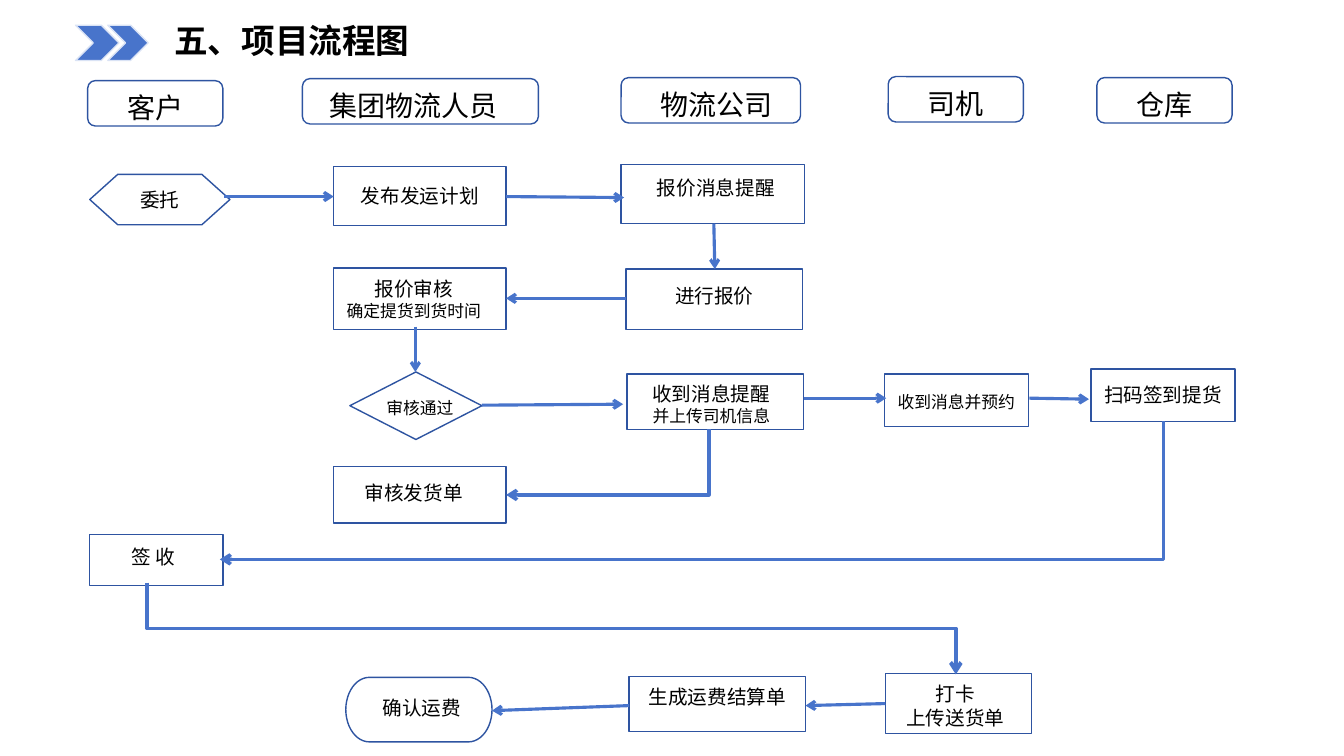
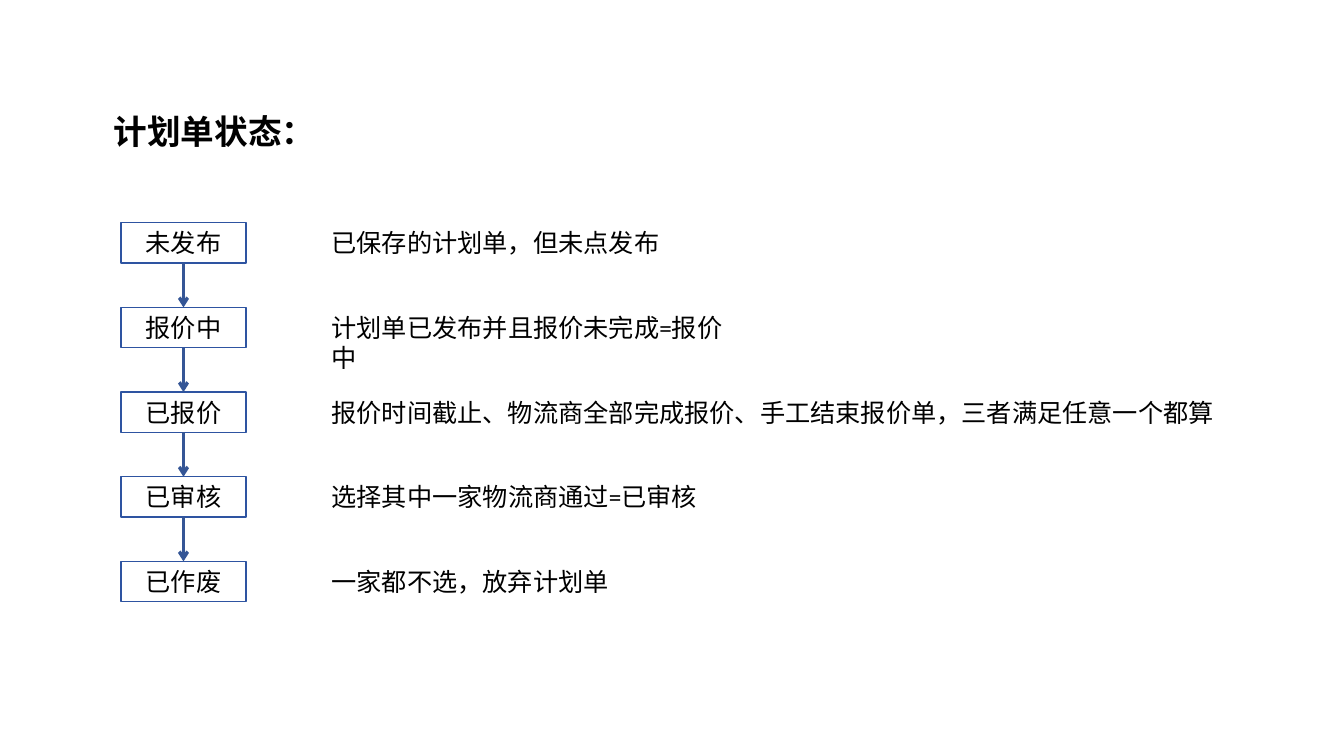
from pptx import Presentation
from pptx.dml.color import RGBColor
from pptx.enum.shapes import MSO_CONNECTOR as LINE, MSO_SHAPE as SHAPE
from pptx.enum.text import MSO_ANCHOR as ANCHOR, PP_ALIGN as ALIGN
from pptx.oxml.ns import qn
from pptx.util import Inches, Pt
from lxml import etree

FONT = "Calibri"
BLACK, OUTLINE, ARROW, CHEVRON_EDGE = "000000", "2E54A1", "4874CB", "DAE3F5"
STATE_ARROW = "355696"

# Swimlane headings: text, (left, top, width), horizontal text nudge
LANES = [
    ("客户", (0.87, 0.8, 1.34), 0),
    ("集团物流人员", (3, 0.78, 2.34), -0.07),
    ("物流公司", (6.16, 0.77, 1.78), 0.06),
    ("司机", (8.81, 0.76, 1.34), 0),
    ("仓库", (10.88, 0.77, 1.34), 0),
]
LANE_H = 0.45

# Flow steps: shape, (left, top, width, height), [(line, size)], text nudge
BOX = SHAPE.RECTANGLE
STEPS = [
    (SHAPE.FLOWCHART_PREPARATION, (0.89, 1.73, 1.39, 0.5), [("委托", 14)], (0, 0)),
    (BOX, (3.31, 1.65, 1.71, 0.59), [("发布发运计划", 14)], (0, 0)),
    (BOX, (6.16, 1.63, 1.82, 0.59), [("报价消息提醒", 14)], (0.03, -0.06)),
    (BOX, (3.31, 2.66, 1.71, 0.61),
     [("报价审核", 14), ("确定提货到货时间", 12)], (-0.06, 0)),
    (BOX, (6.21, 2.67, 1.75, 0.6), [("进行报价", 14)], (0, -0.04)),
    (SHAPE.FLOWCHART_DECISION, (3.47, 3.69, 1.31, 0.67), [("审核通过", 12)], (0.04, 0.02)),
    (BOX, (6.22, 3.71, 1.75, 0.55),
     [("收到消息提醒", 14), ("并上传司机信息", 12)], (-0.04, 0.02)),
    (BOX, (8.77, 3.71, 1.43, 0.52), [("收到消息并预约", 12)], (0, 0.02)),
    (BOX, (10.82, 3.66, 1.43, 0.52), [("扫码签到提货", 14)], (0, 0)),
    (BOX, (3.31, 4.63, 1.71, 0.56), [("审核发货单", 14)], (-0.06, -0.02)),
    (BOX, (0.89, 5.3, 1.32, 0.51), [("签 收", 14)], (-0.03, -0.03)),
    (BOX, (8.78, 6.68, 1.45, 0.6), [("打卡", 14), ("上传送货单", 14)], (-0.03, 0.02)),
    (BOX, (6.24, 6.71, 1.75, 0.55), [("生成运费结算单", 14)], (0, -0.07)),
    (SHAPE.FLOWCHART_TERMINATOR, (3.43, 6.72, 1.45, 0.64), [("确认运费", 14)], (0.03, -0.02)),
]
STRAIGHT_ARROWS = [
    ((2.22, 1.95), (3.31, 1.95)), ((5.02, 1.95), (6.19, 1.96)),
    ((7.08, 2.22), (7.09, 2.67)), ((6.21, 2.96), (5.02, 2.96)),
    ((4.12, 3.24), (4.12, 3.69)), ((4.78, 4.02), (6.18, 4.01)),
    ((7.97, 3.95), (8.79, 3.95)), ((10.21, 3.95), (10.8, 3.96)),
    ((8.78, 6.98), (7.99, 7)), ((6.24, 7), (4.88, 7.05)),
]
# Bent arrows leave downwards: start, end, line width, preset
BENT_ARROWS = [
    ((7.03, 4.26), (5.02, 4.91), 2.5, "bentConnector2"),
    ((11.54, 4.18), (2.18, 5.55), 2.5, "bentConnector2"),
    ((1.46, 5.78), (9.48, 6.69), 2.75, "bentConnector3"),
]

# Plan states: name, meaning, width of the meaning
STATES = [
    ("未发布", "已保存的计划单，但未点发布", 3.6),
    ("报价中", "计划单已发布并且报价未完成=报价中", 4.32),
    ("已报价", "报价时间截止、物流商全部完成报价、手工结束报价单，三者满足任意一个都算", 9.1),
    ("已审核", "选择其中一家物流商通过=已审核", 3.88),
    ("已作废", "一家都不选，放弃计划单", 3.1),
]
STATE_X, STATE_Y, STATE_W, STATE_H, STATE_STEP = 1.2, 2.21, 1.24, 0.4, 0.84
MEANING_X = 3.19


def rgb(color):
    return RGBColor.from_string(color)


def inches(values):
    return [Inches(v) for v in values]


def write(tf, lines, align=ALIGN.LEFT, bold=False):
    for i, (text, size) in enumerate(lines):
        p = tf.paragraphs[0] if i == 0 else tf.add_paragraph()
        p.text = text
        p.alignment = align
        p.font.name, p.font.size, p.font.bold = FONT, Pt(size), bold
        p.font.color.rgb = rgb(BLACK)


def add_text(s, box, text, size, wrap=True, bold=False):
    tf = s.shapes.add_textbox(*inches(box)).text_frame
    tf.word_wrap = wrap
    write(tf, [(text, size)], bold=bold)


def add_title(s, left, top, width, text):
    add_text(s, (left, top, width, 0.5), text, 24, wrap=False, bold=True)


def add_box(s, kind, box, fill=None, line=OUTLINE):
    sp = s.shapes.add_shape(kind, *inches(box))
    sp.shadow.inherit = False
    if fill:
        sp.fill.solid()
        sp.fill.fore_color.rgb = rgb(fill)
    else:
        sp.fill.background()
    sp.line.color.rgb = rgb(line)
    sp.line.width = Pt(1)
    return sp


def add_node(s, kind, box, lines, nudge=(0, 0)):
    """Outlined shape with centred text, shifted by nudge through the margins."""
    tf = add_box(s, kind, box).text_frame
    dx, dy = nudge
    tf.margin_left, tf.margin_right, tf.margin_top, tf.margin_bottom = inches(
        max(0, 2 * v) for v in (dx, -dx, dy, -dy))
    tf.word_wrap = False
    tf.vertical_anchor = ANCHOR.MIDDLE
    write(tf, lines, ALIGN.CENTER)


def add_arrow(s, start, end, color=ARROW, width=2.25, kind=LINE.STRAIGHT):
    c = s.shapes.add_connector(kind, *inches(start + end))
    c.line.color.rgb = rgb(color)
    c.line.width = Pt(width)
    etree.SubElement(c.line._get_or_add_ln(), qn("a:tailEnd"), type="arrow")
    etree.SubElement(c._element.spPr, qn("a:effectLst"))
    return c


def add_bent_arrow(s, start, end, width, preset):
    """Elbow turned by 90 degrees about its centre, so it starts downwards."""
    (x1, y1), (x2, y2) = start, end
    cx, cy = (x1 + x2) / 2, (y1 + y2) / 2
    half_w, half_h = (y2 - y1) / 2, (x1 - x2) / 2
    c = add_arrow(s, (cx - half_w, cy - half_h), (cx + half_w, cy + half_h),
                  width=width, kind=LINE.ELBOW)
    sp_pr = c._element.spPr
    sp_pr.find(qn("a:xfrm")).set("rot", "5400000")
    sp_pr.find(qn("a:prstGeom")).set("prst", preset)


def build_flow(s):
    # Title with chevrons
    for left, width in ((0.75, 0.43), (1.07, 0.4)):
        add_box(s, SHAPE.CHEVRON, (left, 0.25, width, 0.35), ARROW, CHEVRON_EDGE)
    add_title(s, 1.63, 0.15, 2.53, "五、项目流程图")
    # Lanes and steps
    for text, box, dx in LANES:
        add_node(s, SHAPE.ROUNDED_RECTANGLE, box + (LANE_H,), [(text, 20)], (dx, 0.04))
    for step in STEPS:
        add_node(s, *step)
    # Arrows
    for start, end in STRAIGHT_ARROWS:
        add_arrow(s, start, end)
    for bent in BENT_ARROWS:
        add_bent_arrow(s, *bent)


def build_states(s):
    add_title(s, 1.03, 1.05, 2.12, "计划单状态：")
    mid = STATE_X + STATE_W / 2
    for i, (name, meaning, width) in enumerate(STATES):
        top = STATE_Y + i * STATE_STEP
        add_node(s, SHAPE.FLOWCHART_PROCESS, (STATE_X, top, STATE_W, STATE_H), [(name, 18)])
        add_text(s, (MEANING_X, top, width, STATE_H), meaning, 18)
        if i:
            add_arrow(s, (mid, top - STATE_STEP + STATE_H), (mid, top), STATE_ARROW)


def main():
    prs = Presentation()
    prs.slide_width, prs.slide_height = Inches(13.33), Inches(7.5)
    for build in (build_flow, build_states):
        build(prs.slides.add_slide(prs.slide_layouts[6]))
    prs.save("out.pptx")


if __name__ == "__main__":
    main()
